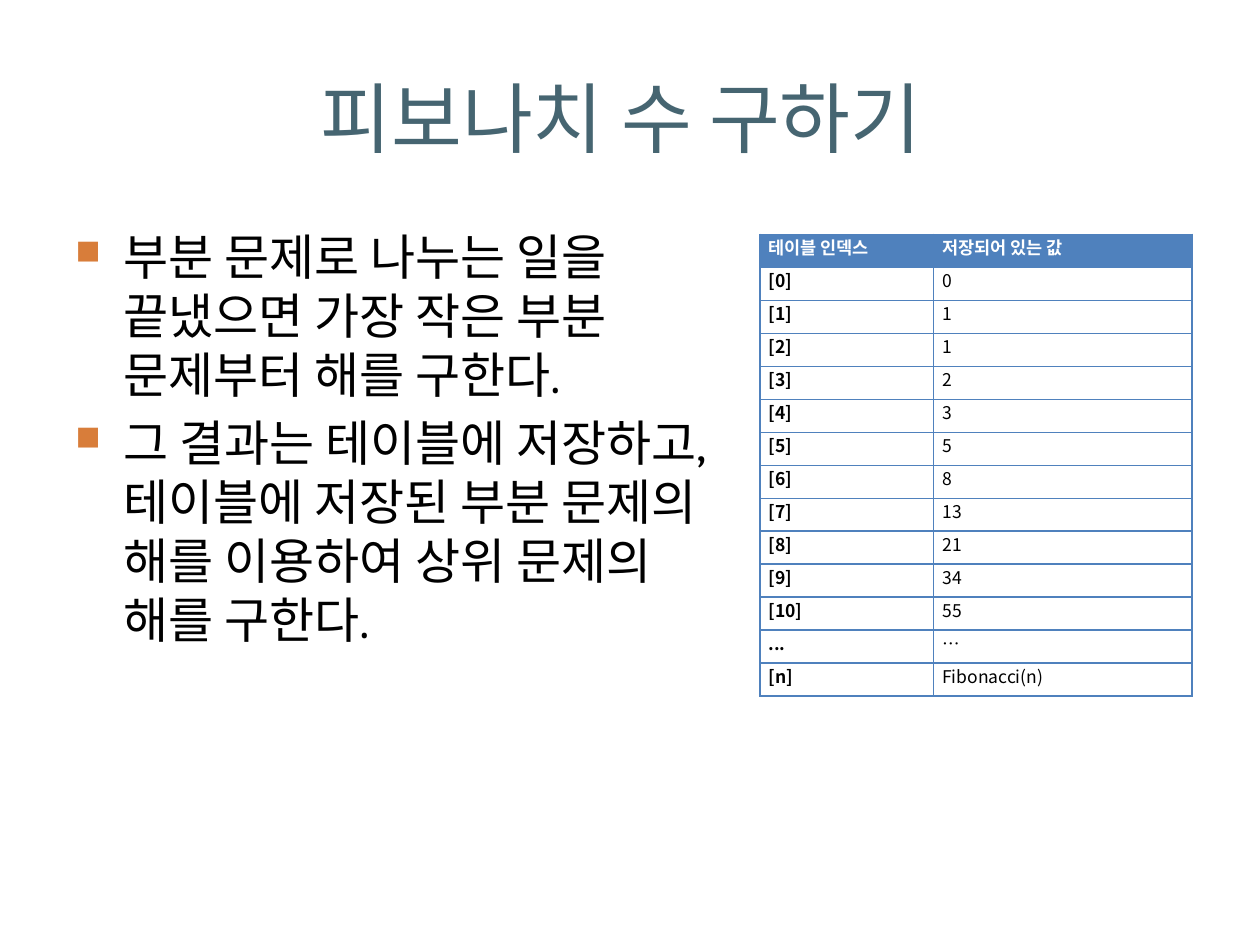
from dataclasses import dataclass
from lxml import etree
from pptx import Presentation
from pptx import util as u
from pptx.dml.color import RGBColor
from pptx.enum import text
from pptx.oxml import ns

SLIDE_WIDTH, SLIDE_HEIGHT = 10, 7.5
KOREAN_FONT = "Noto Sans CJK KR"
LINE_SPACING = 1.2
TABLE_BLUE = "4F81BD"
CELL_MARGINS = {"margin_left": u.Inches(0.07), "margin_right": u.Inches(0.07),
                "margin_top": 0, "margin_bottom": 0}


@dataclass
class Style:
    """Look of one run of text."""
    size: float
    font: str
    color: str
    bold: bool = False


@dataclass
class TextBlock:
    """A text box whose paragraphs share one style."""
    box: tuple[float, float, float, float]
    paragraphs: list[str]
    style: Style
    anchor: text.MSO_ANCHOR
    alignment: text.PP_ALIGN
    space_before: float = 0
    bullet_color: str = ""


BLOCKS = [
    TextBlock((0.5, 1.75, 5.29, 4.83), [
        "부분 문제로 나누는 일을 끝냈으면 가장 작은 부분 문제부터 해를 구한다.",
        "그 결과는 테이블에 저장하고, 테이블에 저장된 부분 문제의 해를 이용하여 상위 문제의 해를 구한다.",
    ], Style(28, "Cambria", "000000"), text.MSO_ANCHOR.TOP, text.PP_ALIGN.LEFT, 5.6, "D87D3A"),
    TextBlock((0.5, 0.3, 9, 1.25), ["피보나치 수 구하기 "],
              Style(44, "Cambria", "466571"), text.MSO_ANCHOR.MIDDLE, text.PP_ALIGN.CENTER),
]


def rgb(color: str) -> RGBColor:
    """Turn a hex string into a colour."""
    return RGBColor.from_string(color)


def set_all(target, values: dict) -> None:
    """Set every attribute named in values."""
    for name, value in values.items():
        setattr(target, name, value)


def add_xml(parent, tag: str, **attributes: str):
    """Append a drawing element and return it."""
    return etree.SubElement(parent, ns.qn(tag), attributes)


def write(paragraph, words: str, style: Style) -> None:
    """Add one styled run for Latin and Korean script."""
    run = paragraph.add_run()
    run.text = words
    set_all(run.font, {"size": u.Pt(style.size), "name": style.font, "bold": style.bold})
    run.font.color.rgb = rgb(style.color)
    add_xml(run.font._element, "a:ea", typeface=KOREAN_FONT)


def add_bullet(paragraph, color: str) -> None:
    """Give a paragraph a small square bullet and a hanging indent."""
    properties = paragraph._p.get_or_add_pPr()
    indent = u.Inches(0.38)
    properties.set("marL", str(indent))
    properties.set("indent", str(-indent))
    add_xml(add_xml(properties, "a:buClr"), "a:srgbClr", val=color)
    add_xml(properties, "a:buSzPct", val="70000")
    add_xml(properties, "a:buFont", typeface="Wingdings", charset="2")
    add_xml(properties, "a:buChar", char="n")


def add_block(slide, block: TextBlock) -> None:
    """Draw one text block."""
    frame = slide.shapes.add_textbox(*map(u.Inches, block.box)).text_frame
    set_all(frame, {"word_wrap": True, "vertical_anchor": block.anchor})
    for index, words in enumerate(block.paragraphs):
        paragraph = frame.add_paragraph() if index else frame.paragraphs[0]
        set_all(paragraph, {"alignment": block.alignment,
                            "space_before": u.Pt(block.space_before),
                            "line_spacing": u.Pt(block.style.size * LINE_SPACING)})
        if block.bullet_color:
            add_bullet(paragraph, block.bullet_color)
        write(paragraph, words, block.style)


def fill_cell(cell, words: str, header: bool, bold: bool) -> None:
    """Write, border and fill one table cell."""
    set_all(cell, CELL_MARGINS)
    paragraph = cell.text_frame.paragraphs[0]
    paragraph.alignment = text.PP_ALIGN.JUSTIFY
    color = "FFFFFF" if header else "000000"
    write(paragraph, words, Style(10, KOREAN_FONT, color, bold))
    properties = cell._tc.get_or_add_tcPr()
    for side in ("a:lnL", "a:lnR", "a:lnT", "a:lnB"):
        line = add_xml(properties, side, w=str(u.Pt(1)))
        add_xml(add_xml(line, "a:solidFill"), "a:srgbClr", val=TABLE_BLUE)
    if header:
        cell.fill.solid()
        cell.fill.fore_color.rgb = rgb(TABLE_BLUE)
    else:
        cell.fill.background()


def fibonacci_rows(last: int) -> list[tuple[str, str]]:
    """List the header, the stored values up to last, and the general case."""
    rows = [("테이블 인덱스", "저장되어 있는 값")]
    current, following = 0, 1
    for index in range(last + 1):
        rows.append((f"[{index}]", str(current)))
        current, following = following, current + following
    return rows + [("...", "…"), ("[n]", "Fibonacci(n)")]


def add_fibonacci_table(slide) -> None:
    """Draw the table of stored values."""
    rows, widths = fibonacci_rows(10), (1.38, 2.05)
    box = map(u.Inches, (6.03, 1.86, sum(widths), 3.67))
    table = slide.shapes.add_table(len(rows), len(widths), *box).table
    set_all(table, {"first_row": False, "horz_banding": False})
    for column, width in zip(table.columns, widths):
        column.width = u.Inches(width)
    for row_index, row in enumerate(rows):
        for column_index, words in enumerate(row):
            header = row_index == 0
            fill_cell(table.cell(row_index, column_index), words, header,
                      header or column_index == 0)


def main() -> None:
    """Build and save the slide."""
    presentation = Presentation()
    set_all(presentation, {"slide_width": u.Inches(SLIDE_WIDTH),
                           "slide_height": u.Inches(SLIDE_HEIGHT)})
    slide = presentation.slides.add_slide(presentation.slide_layouts[6])
    for block in BLOCKS:
        add_block(slide, block)
    add_fibonacci_table(slide)
    presentation.save("out.pptx")


main()
